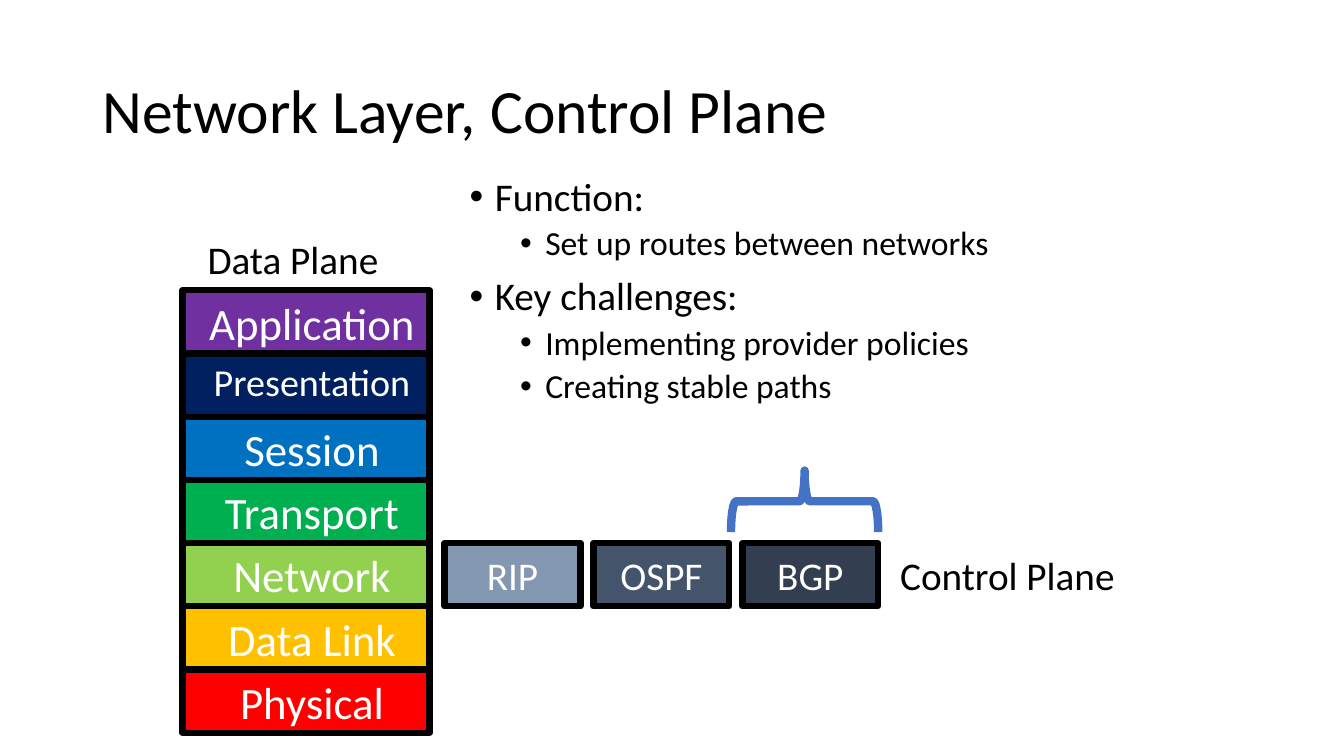
from pptx import Presentation
from pptx.dml.color import RGBColor
from pptx.enum.shapes import MSO_SHAPE
from pptx.enum.text import MSO_ANCHOR, PP_ALIGN
from pptx.oxml.ns import qn
from pptx.util import Inches, Pt

C = {
    "black": "000000", "white": "FFFFFF", "purple": "7030A0", "navy": "002060",
    "blue": "0070C0", "green": "00B050", "lime": "92D050", "gold": "FFC000",
    "red": "FF0000", "mist": "8497B0", "slate": "44546A", "ink": "333F50",
    "brace": "4472C4",
}
LAYERS = [
    ("Application", "purple", 32), ("Presentation", "navy", 27.2),
    ("Session", "blue", 32), ("Transport", "green", 32), ("Network", "lime", 32),
    ("Data Link", "gold", 32), ("Physical", "red", 32),
]
PROTOCOLS = [("RIP", "mist"), ("OSPF", "slate"), ("BGP", "ink")]
POINTS = [
    (0, "Function:"), (1, "Set up routes between networks"),
    (0, "Key challenges:"), (1, "Implementing provider policies"),
    (1, "Creating stable paths"),
]
ROW = 0.627
STACK = (1.81, 2.88, 2.45, len(LAYERS) * ROW)
NETWORK_TOP = STACK[1] + 4 * ROW


def rgb(name):
    """Return the named colour."""
    return RGBColor.from_string(C[name])


def write(tf, text, size=28, color="black", align=PP_ALIGN.LEFT, indent=0,
          bullet=False, before=0, spacing=None):
    """Write one paragraph into a text frame and format it."""
    p = tf.paragraphs[0]
    if p.runs:
        p = tf.add_paragraph()
    p.alignment, p.space_before = align, Pt(before)
    if spacing:
        p.line_spacing = spacing
    pPr = p._p.get_or_add_pPr()
    pPr.set("marL", str(Inches(indent)))
    if bullet:
        pPr.set("indent", str(Inches(-0.25)))
        pPr.append(pPr.makeelement(qn("a:buFont"), {"typeface": "Arial"}))
        pPr.append(pPr.makeelement(qn("a:buChar"), {"char": "•"}))
    r = p.add_run()
    r.text = text
    r.font.name, r.font.size, r.font.color.rgb = "Calibri", Pt(size), rgb(color)


def text_area(s, x, y, w, h, wrap=True, anchor=MSO_ANCHOR.TOP):
    """Add a text box and return its text frame."""
    tf = s.shapes.add_textbox(*map(Inches, (x, y, w, h))).text_frame
    tf.word_wrap, tf.vertical_anchor = wrap, anchor
    return tf


def block(s, x, y, w, h, text, fill, anchor=MSO_ANCHOR.MIDDLE, **fmt):
    """Add a black-edged box with a centred white label."""
    sp = s.shapes.add_shape(MSO_SHAPE.RECTANGLE, *map(Inches, (x, y, w, h)))
    sp.shadow.inherit = False
    sp.fill.solid()
    sp.fill.fore_color.rgb = rgb(fill)
    sp.line.color.rgb, sp.line.width = rgb("black"), Pt(4.5)
    sp.text_frame.vertical_anchor = anchor
    write(sp.text_frame, text, color="white", align=PP_ALIGN.CENTER, **fmt)


def brace(s, x, y, w, h):
    """Add an upward-pointing brace that fills the given box."""
    left, top = x + (w - h) / 2, y + (h - w) / 2
    sp = s.shapes.add_shape(MSO_SHAPE.LEFT_BRACE, *map(Inches, (left, top, h, w)))
    sp.rotation = 90
    sp.shadow.inherit = False
    sp.fill.background()
    sp.line.color.rgb, sp.line.width = rgb("brace"), Pt(6)


def heading(s, x, y, w, h):
    """Add the slide title."""
    tf = text_area(s, x, y, w, h, anchor=MSO_ANCHOR.MIDDLE)
    write(tf, "Network Layer, Control Plane", size=44, spacing=0.9)


def bullets(s, x, y, w, h):
    """Add the two-level list of points."""
    tf = text_area(s, x, y, w, h)
    for i, (level, text) in enumerate(POINTS):
        write(tf, text, size=28 - 4 * level, indent=0.25 + 0.5 * level,
              bullet=True, before=(10 - 5 * level) if i else 0, spacing=0.9)


def data_plane(s, x, y, w, h):
    """Stack the layers in equal rows below their label."""
    row = h / len(LAYERS)
    for i, (text, fill, size) in enumerate(LAYERS):
        block(s, x, y + i * row, w, row, text, fill, anchor=MSO_ANCHOR.TOP,
              size=size, indent=0.12)
    write(text_area(s, x + 0.15, y - 0.59, 1.91, 0.57, wrap=False), "Data Plane")


def control_plane(s, x, y, w, h):
    """Set the protocols side by side, with a brace over the last one."""
    gap = 0.13
    cell = (w - gap * (len(PROTOCOLS) - 1)) / len(PROTOCOLS)
    for i, (text, fill) in enumerate(PROTOCOLS):
        block(s, x + i * (cell + gap), y, cell, h, text, fill)
    brace(s, x + w - 1.46, y - 0.72, 1.46, 0.61)
    write(text_area(s, x + w + 0.12, y + 0.03, 2.35, 0.57, wrap=False),
          "Control Plane")


def main():
    """Build and save the slide."""
    prs = Presentation()
    prs.slide_width, prs.slide_height = Inches(13.33), Inches(7.5)
    s = prs.slides.add_slide(prs.slide_layouts[6])
    heading(s, 0.92, 0.4, 11.5, 1.45)
    bullets(s, 4.56, 1.71, 6.95, 2.96)
    data_plane(s, *STACK)
    control_plane(s, 4.41, NETWORK_TOP, 4.3, ROW)
    prs.save("out.pptx")


if __name__ == "__main__":
    main()
